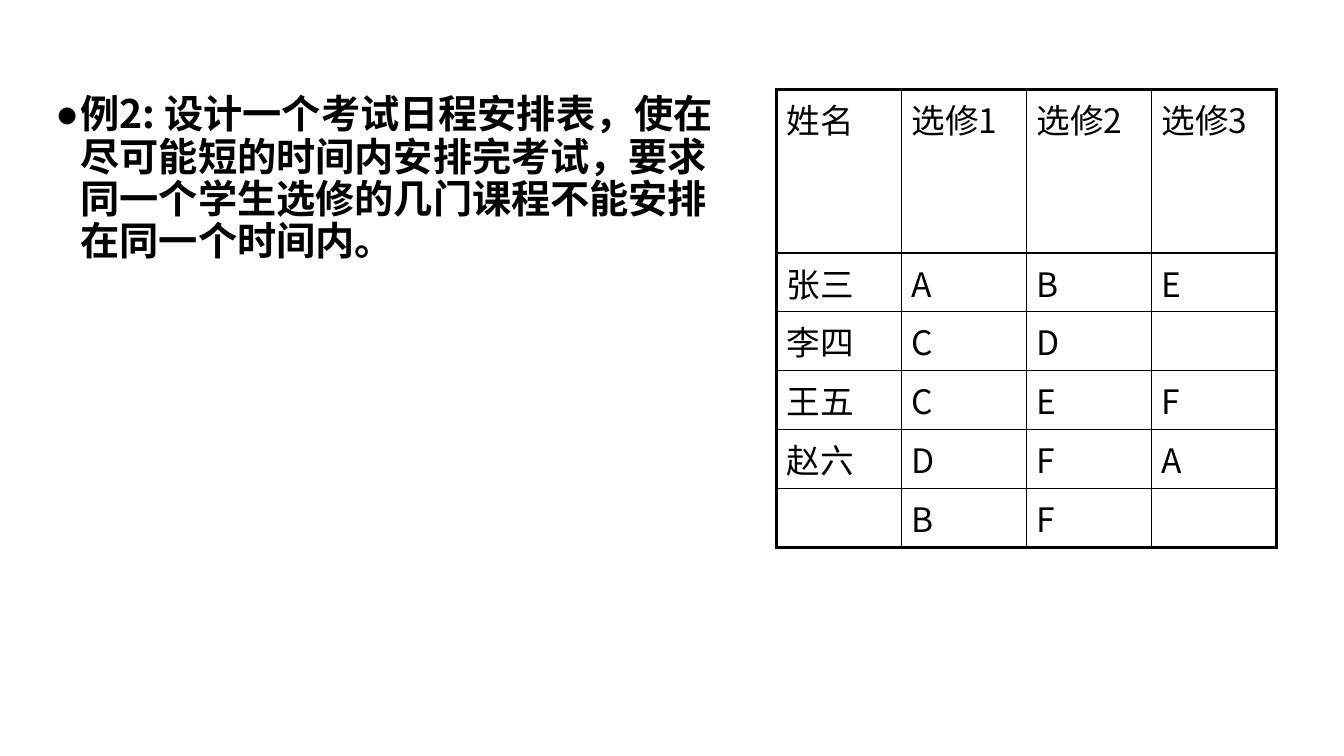
from pptx import Presentation
from pptx.dml.color import RGBColor
from pptx.enum.text import MSO_ANCHOR, MSO_AUTO_SIZE, PP_ALIGN
from pptx.oxml.ns import qn
from pptx.util import Inches, Pt
from lxml.etree import SubElement

# Content
QUESTION = ("例2: 设计一个考试日程安排表，使在尽可能短的时间内安排完考试，"
            "要求同一个学生选修的几门课程不能安排在同一个时间内。")
COURSES = [
    ("姓名", "选修1", "选修2", "选修3"),
    ("张三", "A", "B", "E"),
    ("李四", "C", "D", ""),
    ("王五", "C", "E", "F"),
    ("赵六", "D", "F", "A"),
    ("", "B", "F", ""),
]

# Style and layout, in inches and points
FONT, BLACK = "Noto Sans CJK SC", "000000"
TOP = 0.89
BODY_LEFT, BODY_W, BODY_H = 0.45, 6.81, 4.95
TABLE_LEFT, COL_W, HEAD_H, ROW_H = 7.7, 1.24, 1.62, 0.58
OUTER, INNER = 2.25, 1


def color(hex_text):
    return RGBColor.from_string(hex_text)


def add_run(p, text, size, bold=False):
    r = p.add_run()
    r.text = text
    r.font.size, r.font.bold = Pt(size), bold
    r.font.color.rgb = color(BLACK)
    r.font.name = FONT
    SubElement(r._r.get_or_add_rPr(), qn("a:ea"), typeface=FONT)


def set_borders(cell, widths):
    tcPr = cell._tc.get_or_add_tcPr()
    for i, (side, width) in enumerate(widths.items()):
        ln = SubElement(tcPr, qn("a:ln" + side), w=str(Pt(width)))
        fill = SubElement(ln, qn("a:solidFill"))
        SubElement(fill, qn("a:srgbClr"), val=BLACK)
        tcPr.insert(i, ln)  # borders come before the fill


prs = Presentation()
prs.slide_width, prs.slide_height = Inches(13.33), Inches(7.5)
s = prs.slides.add_slide(prs.slide_layouts[1])
title, body = s.placeholders
title._element.getparent().remove(title._element)

# Question
body.left, body.top = Inches(BODY_LEFT), Inches(TOP)
body.width, body.height = Inches(BODY_W), Inches(BODY_H)
tf = body.text_frame
tf.word_wrap, tf.auto_size = True, MSO_AUTO_SIZE.NONE
tf.vertical_anchor = MSO_ANCHOR.TOP
p = tf.paragraphs[0]
pPr = p._p.get_or_add_pPr()
pPr.set("marL", str(Inches(0.25)))
pPr.set("indent", str(-Inches(0.25)))
SubElement(pPr, qn("a:buChar"), char="●")
p.alignment = PP_ALIGN.LEFT
p.line_spacing, p.space_before = 0.9, Pt(0)
add_run(p, QUESTION, 28, bold=True)

# Course table
n_rows, n_cols = len(COURSES), len(COURSES[0])
table = s.shapes.add_table(
    n_rows, n_cols, Inches(TABLE_LEFT), Inches(TOP),
    Inches(n_cols * COL_W), Inches(HEAD_H + (n_rows - 1) * ROW_H)).table
table.first_row = table.horz_banding = False
for col in table.columns:
    col.width = Inches(COL_W)
for i, values in enumerate(COURSES):
    table.rows[i].height = Inches(ROW_H if i else HEAD_H)
    for j, text in enumerate(values):
        cell = table.cell(i, j)
        cell.fill.background()
        set_borders(cell, {
            "L": OUTER if j == 0 else INNER,
            "R": OUTER if j == n_cols - 1 else INNER,
            "T": OUTER if i == 0 else INNER,
            "B": OUTER if i == n_rows - 1 else INNER,
        })
        if text:
            add_run(cell.text_frame.paragraphs[0], text, 24)

prs.save("out.pptx")
